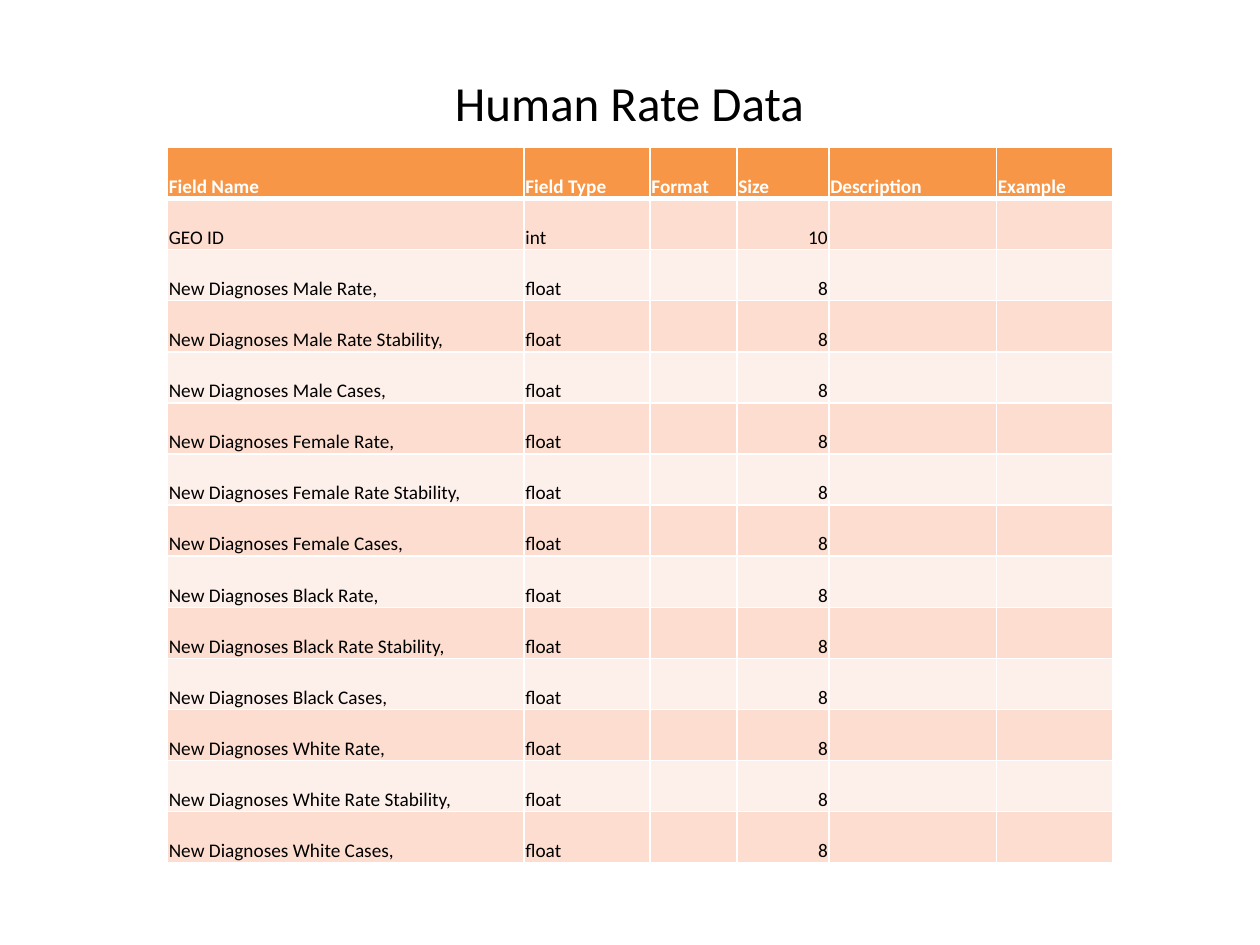
import lxml.etree
import pptx
import pptx.dml.color
import pptx.enum.text
import pptx.oxml.ns
import pptx.util

Inches = pptx.util.Inches
Pt = pptx.util.Pt
ALIGN = pptx.enum.text.PP_ALIGN
ANCHOR = pptx.enum.text.MSO_ANCHOR

FONT = "Calibri"
WHITE, BLACK = "FFFFFF", "000000"
HEADER_FILL = "F79646"
BAND_FILLS = ["FCDDCF", "FDEFE9"]

HEADINGS = ["Field Name", "Field Type", "Format", "Size", "Description", "Example"]
COLUMN_WIDTHS = [2.83, 1, 0.69, 0.73, 1.33, 0.92]
SIZE_COLUMN = HEADINGS.index("Size")
GROUPS = ["Male", "Female", "Black", "White"]
MEASURES = ["Rate", "Rate Stability", "Cases"]


def color(hex_value):
    return pptx.dml.color.RGBColor.from_string(hex_value)


def format_text(paragraph, size, hex_value, bold=False, align=ALIGN.LEFT):
    paragraph.alignment = align
    for run in paragraph.runs:
        run.font.name = FONT
        run.font.size = Pt(size)
        run.font.bold = bold
        run.font.color.rgb = color(hex_value)


def set_borders(cell, top, bottom):
    """Draw white borders; they must come before the fill in the cell properties."""
    qn = pptx.oxml.ns.qn
    properties = cell._tc.get_or_add_tcPr()
    widths = {"a:lnL": 1, "a:lnR": 1, "a:lnT": top, "a:lnB": bottom}
    for position, (side, width) in enumerate(widths.items()):
        border = lxml.etree.Element(qn(side), w=str(Pt(width)))
        fill = lxml.etree.SubElement(border, qn("a:solidFill"))
        lxml.etree.SubElement(fill, qn("a:srgbClr"), val=WHITE)
        properties.insert(position, border)


def add_title(slide, left, top, width, height):
    title = slide.shapes.add_textbox(
        Inches(left), Inches(top), Inches(width), Inches(height))
    frame = title.text_frame
    frame.word_wrap = True
    frame.vertical_anchor = ANCHOR.MIDDLE
    frame.text = "Human Rate Data"
    format_text(frame.paragraphs[0], 28, BLACK, align=ALIGN.CENTER)


def field_rows():
    rows = [HEADINGS, ["GEO ID", "int", "", "10", "", ""]]
    for group in GROUPS:
        for measure in MEASURES:
            rows.append([f"New Diagnoses {group} {measure},", "float", "", "8", "", ""])
    return rows


def fill_cell(cell, text, row, column):
    is_header = row == 0
    cell.margin_left = cell.margin_top = cell.margin_right = Inches(0.01)
    cell.margin_bottom = 0
    cell.vertical_anchor = ANCHOR.BOTTOM
    cell.fill.solid()
    cell.fill.fore_color.rgb = color(
        HEADER_FILL if is_header else BAND_FILLS[(row - 1) % 2])
    set_borders(cell, top=3 if row == 1 else 1, bottom=3 if is_header else 1)
    if text:
        cell.text_frame.text = text
        right = column == SIZE_COLUMN and not is_header
        format_text(cell.text_frame.paragraphs[0], 11,
                    WHITE if is_header else BLACK, is_header,
                    ALIGN.RIGHT if right else ALIGN.LEFT)


def add_field_table(slide, left, top, width, height):
    rows = field_rows()
    table = slide.shapes.add_table(
        len(rows), len(HEADINGS),
        Inches(left), Inches(top), Inches(width), Inches(height)).table
    for column, column_width in zip(table.columns, COLUMN_WIDTHS):
        column.width = Inches(column_width)
    for r, values in enumerate(rows):
        table.rows[r].height = Inches(height / len(rows))
        for c, text in enumerate(values):
            fill_cell(table.cell(r, c), text, r, c)


def main():
    deck = pptx.Presentation()
    deck.slide_width, deck.slide_height = Inches(10), Inches(7.5)
    slide = deck.slides.add_slide(deck.slide_layouts[6])
    add_title(slide, 1.58, 0.58, 6.83, 0.45)
    add_field_table(slide, 1.33, 1.17, 7.5, 5.68)
    deck.save("out.pptx")


if __name__ == "__main__":
    main()
